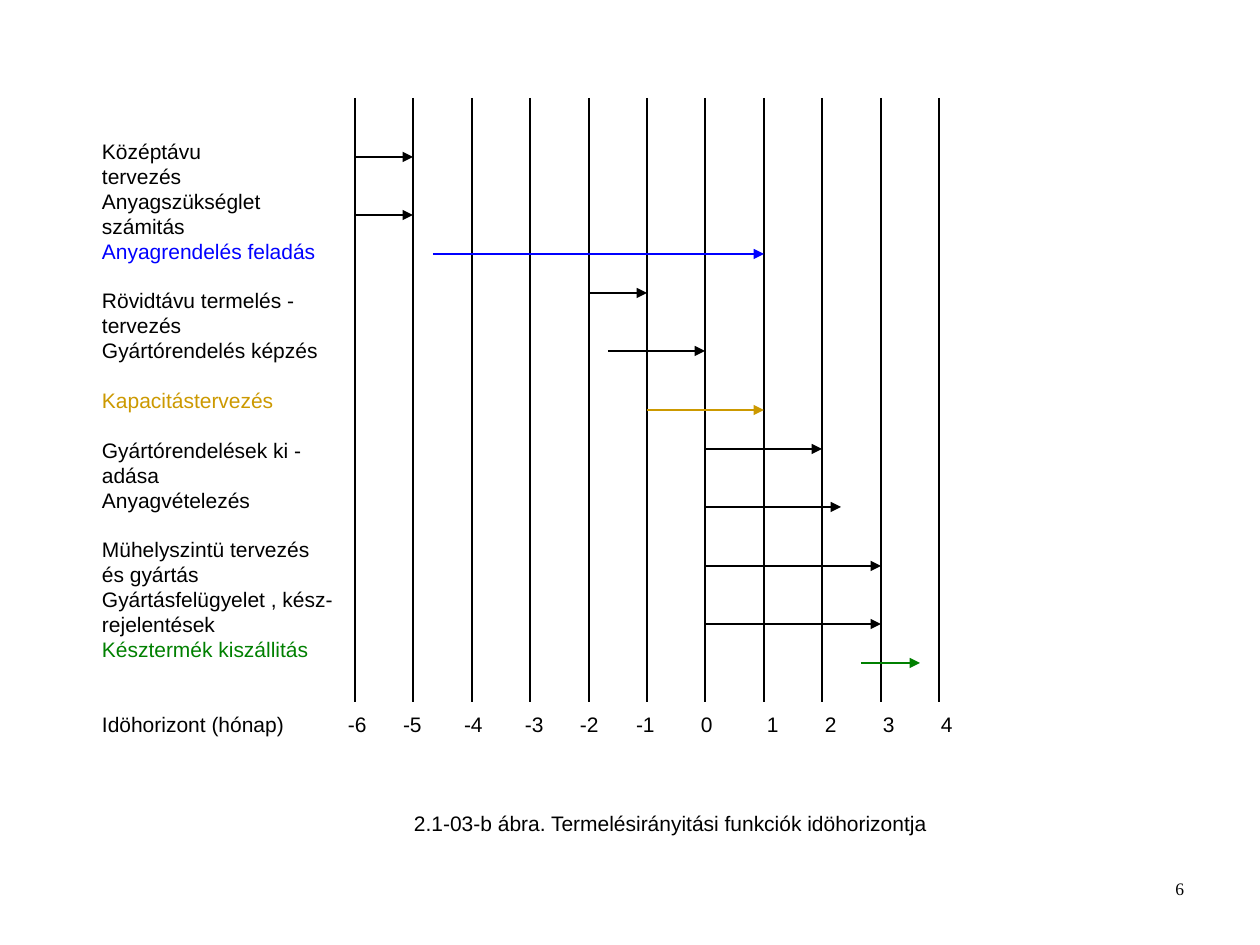
from dataclasses import dataclass
from typing import Any

from lxml import etree
from pptx import Presentation
from pptx import util as u
from pptx.dml import color
from pptx.enum import shapes, text
from pptx.oxml import ns

EMU_PER_PX = 914400 / 126
SLIDE_WIDTH, SLIDE_HEIGHT = 1260, 945
FIRST_MONTH, LAST_MONTH = -6, 4
AXIS_LEFT, AXIS_TOP, AXIS_BOTTOM = 355, 98, 702
MONTH_WIDTH = 58.4
LABEL_LEFT, LABEL_TOP, ROW_HEIGHT = 102, 139, 24.9


@dataclass(frozen=True)
class Theme:
    black: str = "000000"
    blue: str = "0000FF"
    gold: str = "CC9900"
    green: str = "008000"
    sans: str = "Arial"
    serif: str = "Times New Roman"
    body_size: int = 12
    number_size: int = 10
    line_spacing: float = 14.2
    grid_width: float = 0.88
    arrow_width: float = 1.25


THEME = Theme()


@dataclass(frozen=True)
class Activity:
    lines: tuple[str, ...]
    row: int
    width: int
    start: float
    end: float
    arrow_y: int
    colour: str = THEME.black


@dataclass(frozen=True)
class Label:
    lines: tuple[str, ...]
    left: int
    top: int
    width: int
    height: int = 25
    colour: str = THEME.black
    font: str = THEME.sans
    size: int = THEME.body_size
    spacing: float | None = THEME.line_spacing
    alignment: Any = text.PP_ALIGN.LEFT
    margin_x: int = 0
    margin_y: int = 0


ACTIVITIES = (
    Activity(("Középtávu tervezés",), 0, 184, -6, -5, 157),
    Activity(("Anyagszükséglet", "számitás"), 2, 165, -6, -5, 215),
    Activity(("Anyagrendelés feladás",), 4, 214, -4.67, 1, 254, THEME.blue),
    Activity(("Rövidtávu termelés -", "tervezés"), 6, 193, -2, -1, 293),
    Activity(("Gyártórendelés képzés",), 8, 222, -1.67, 0, 351),
    Activity(("Kapacitástervezés",), 10, 172, -1, 1, 410, THEME.gold),
    Activity(("Gyártórendelések ki -", "adása"), 12, 201, 0, 2, 449),
    Activity(("Anyagvételezés",), 14, 149, 0, 2.33, 507),
    Activity(("Mühelyszintü tervezés", "és gyártás"), 16, 214, 0, 3, 566),
    Activity(("Gyártásfelügyelet , kész-", "rejelentések"), 18, 232, 0, 3, 624),
    Activity(("Késztermék kiszállitás",), 20, 213, 2.67, 3.67, 663, THEME.green),
)
MONTH_LABEL_LEFTS = (348, 403, 464, 525, 580, 636, 701, 767, 825, 883, 941)


def px(value: int) -> u.Emu:
    return u.Emu(round(value * EMU_PER_PX))


def month_x(month: float) -> int:
    return round(AXIS_LEFT + (month - FIRST_MONTH) * MONTH_WIDTH)


def row_y(row: int) -> int:
    return round(LABEL_TOP + row * ROW_HEIGHT)


def set_attributes(target: Any, values: dict[str, Any]) -> None:
    for name, value in values.items():
        setattr(target, name, value)


def draw_label(slide: Any, label: Label) -> None:
    shape = slide.shapes.add_textbox(
        px(label.left), px(label.top), px(label.width), px(label.height))
    frame = shape.text_frame
    set_attributes(frame, {
        "word_wrap": False,
        "margin_left": px(label.margin_x),
        "margin_right": px(label.margin_x),
        "margin_top": px(label.margin_y),
        "margin_bottom": px(label.margin_y),
    })
    frame.text = "\n".join(label.lines)
    for paragraph in frame.paragraphs:
        paragraph.alignment = label.alignment
        if label.spacing:
            paragraph.line_spacing = u.Pt(label.spacing)
        set_attributes(paragraph.font, {"name": label.font, "size": u.Pt(label.size)})
        paragraph.font.color.rgb = color.RGBColor.from_string(label.colour)


def draw_line(slide: Any, start: tuple[int, int], end: tuple[int, int],
              colour: str, width: float, arrow: bool = False) -> None:
    connector = slide.shapes.add_connector(
        shapes.MSO_CONNECTOR.STRAIGHT, *map(px, start + end))
    connector.line.color.rgb = color.RGBColor.from_string(colour)
    connector.line.width = u.Pt(width)
    properties = connector.element.spPr
    if arrow:
        line = properties.find(ns.qn("a:ln"))
        etree.SubElement(line, ns.qn("a:tailEnd"), type="triangle", w="med", len="med")
    etree.SubElement(properties, ns.qn("a:effectLst"))


def draw_activity(slide: Any, activity: Activity) -> None:
    draw_label(slide, Label(
        activity.lines, LABEL_LEFT, row_y(activity.row), activity.width,
        25 * len(activity.lines), activity.colour))
    draw_line(slide, (month_x(activity.start), activity.arrow_y),
              (month_x(activity.end), activity.arrow_y),
              activity.colour, THEME.arrow_width, arrow=True)


def main() -> None:
    presentation = Presentation()
    set_attributes(presentation, {
        "slide_width": px(SLIDE_WIDTH), "slide_height": px(SLIDE_HEIGHT)})
    slide = presentation.slides.add_slide(presentation.slide_layouts[6])

    axis_y = row_y(23)
    draw_label(slide, Label(("Idöhorizont (hónap)",), LABEL_LEFT, axis_y, 183))
    for month, left in zip(range(FIRST_MONTH, LAST_MONTH + 1), MONTH_LABEL_LEFTS):
        x = month_x(month)
        draw_line(slide, (x, AXIS_TOP), (x, AXIS_BOTTOM), THEME.black, THEME.grid_width)
        draw_label(slide, Label((str(month),), left, axis_y, 19 if month < 0 else 12))

    for activity in ACTIVITIES:
        draw_activity(slide, activity)

    draw_label(slide, Label(
        ("2.1-03-b ábra. Termelésirányitási funkciók idöhorizontja",),
        414, row_y(27), 517))
    draw_label(slide, Label(
        ("6",), 903, 872, 294, 63, font=THEME.serif, size=THEME.number_size,
        spacing=None, alignment=text.PP_ALIGN.RIGHT, margin_x=13, margin_y=6))
    presentation.save("out.pptx")


if __name__ == "__main__":
    main()
